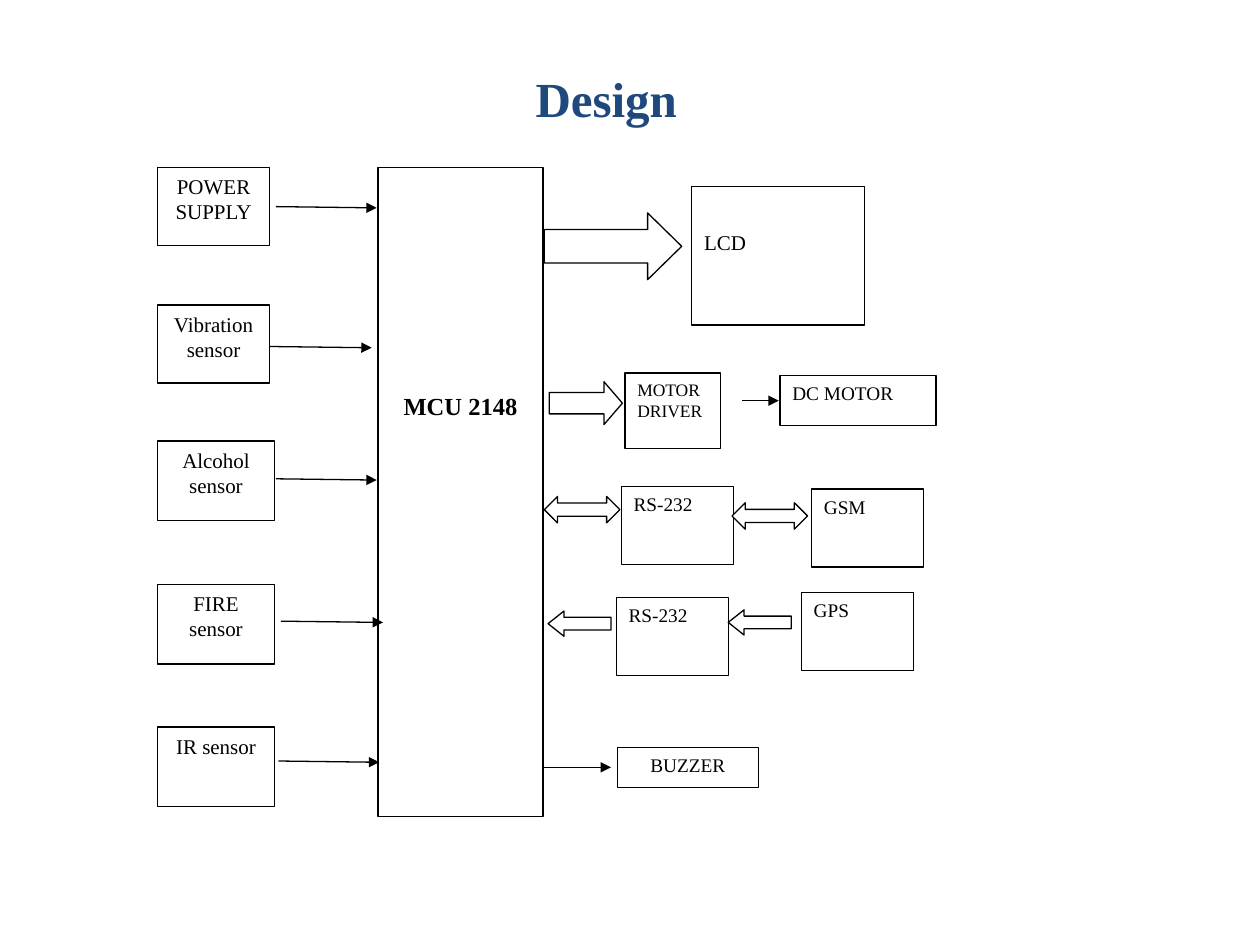
"""Build the block diagram slide of a microcontroller design."""
from dataclasses import dataclass

from lxml.etree import SubElement
from pptx import Presentation
from pptx.dml.color import RGBColor
from pptx.enum.shapes import MSO_CONNECTOR, MSO_SHAPE
from pptx.enum.text import MSO_ANCHOR, MSO_AUTO_SIZE, PP_ALIGN
from pptx.oxml.ns import qn
from pptx.slide import Slide
from pptx.util import Inches, Pt

COLUMNS, ROWS = 10, 7.5
SLIDE_WIDTH, SLIDE_HEIGHT = Inches(10), Inches(7.5)


@dataclass(frozen=True)
class Theme:
    font: str = "Times New Roman"
    ink: RGBColor = RGBColor(0, 0, 0)
    paper: RGBColor = RGBColor(255, 255, 255)
    heading: RGBColor = RGBColor(0x1F, 0x49, 0x7D)
    title: Pt = Pt(28)
    controller: Pt = Pt(14)
    label: Pt = Pt(12)
    module: Pt = Pt(11)
    small: Pt = Pt(10)
    outline: Pt = Pt(0.75)
    gap_after: Pt = Pt(8)


THEME = Theme()


@dataclass(frozen=True)
class Block:
    text: str
    column: float
    row: float
    width: float = 0.89
    height: float = 0.62
    size: Pt = THEME.module
    align: PP_ALIGN = PP_ALIGN.LEFT
    bold: bool = False
    inset: float = 0.05


@dataclass(frozen=True)
class Bus:
    kind: MSO_SHAPE
    column: float
    row: float
    width: float
    height: float
    head: float


@dataclass(frozen=True)
class Signal:
    start: float
    end: float
    row: float
    drop: float = 0.01


def across(columns: float) -> int:
    """Turn grid columns into a slide length."""
    return round(SLIDE_WIDTH * columns / COLUMNS)


def down(rows: float) -> int:
    """Turn grid rows into a slide length."""
    return round(SLIDE_HEIGHT * rows / ROWS)


def add_outlined(slide: Slide, kind: MSO_SHAPE, part: Block | Bus):
    """Place a white shape with a thin black outline."""
    shape = slide.shapes.add_shape(
        kind, across(part.column), down(part.row), across(part.width), down(part.height))
    shape.shadow.inherit = False
    shape.fill.solid()
    shape.fill.fore_color.rgb = THEME.paper
    shape.line.color.rgb = THEME.ink
    shape.line.width = THEME.outline
    return shape


def add_block(slide: Slide, block: Block) -> None:
    """Draw one labelled block."""
    frame = add_outlined(slide, MSO_SHAPE.RECTANGLE, block).text_frame
    frame.word_wrap = True
    frame.vertical_anchor = MSO_ANCHOR.TOP
    frame.margin_top = down(block.inset)
    label = frame.paragraphs[0]
    label.text = block.text
    label.alignment = block.align
    label.space_after = THEME.gap_after
    label.font.name = THEME.font
    label.font.size = block.size
    label.font.bold = block.bold
    label.font.color.rgb = THEME.ink


def add_bus(slide: Slide, bus: Bus) -> None:
    """Draw one block arrow."""
    arrow = add_outlined(slide, bus.kind, bus)
    arrow.adjustments[0] = 0.5
    arrow.adjustments[1] = bus.head


def add_signal(slide: Slide, signal: Signal) -> None:
    """Draw one thin line ending in a triangle."""
    wire = slide.shapes.add_connector(
        MSO_CONNECTOR.STRAIGHT, across(signal.start), down(signal.row),
        across(signal.end), down(signal.row + signal.drop))
    wire.line.color.rgb = THEME.ink
    wire.line.width = THEME.outline
    SubElement(wire.line._get_or_add_ln(), qn("a:tailEnd"), type="triangle")
    SubElement(wire._element.spPr, qn("a:effectLst"))


def add_title(slide: Slide, text: str) -> None:
    """Move and format the title placeholder."""
    title = slide.shapes.title
    title.left, title.top = across(4.15), down(0.49)
    title.width, title.height = across(1.34), down(0.57)
    frame = title.text_frame
    frame.word_wrap = False
    frame.auto_size = MSO_AUTO_SIZE.NONE
    frame.vertical_anchor = MSO_ANCHOR.TOP
    heading = frame.paragraphs[0]
    heading.text = text
    heading.alignment = PP_ALIGN.LEFT
    heading.font.name = THEME.font
    heading.font.size = THEME.title
    heading.font.bold = True
    heading.font.color.rgb = THEME.heading


INPUTS = [
    Block(text, 1.25, row, width, height, THEME.label, PP_ALIGN.CENTER)
    for text, row, width, height in (
        ("POWER SUPPLY", 1.33, 0.89, 0.62),
        ("Vibration sensor", 2.42, 0.89, 0.62),
        ("Alcohol sensor", 3.5, 0.93, 0.63),
        ("FIRE sensor", 4.64, 0.93, 0.63),
        ("IR sensor", 5.77, 0.93, 0.63),
    )
]
CONTROLLER = Block("MCU 2148", 3, 1.33, 1.31, 5.15, THEME.controller,
                   PP_ALIGN.CENTER, bold=True, inset=1.77)
OUTPUTS = [
    Block("LCD", 5.49, 1.48, 1.37, 1.1, THEME.label, inset=0.34),
    Block("MOTOR DRIVER", 4.96, 2.96, 0.76, 0.6, THEME.small),
    Block("DC MOTOR", 6.19, 2.98, 1.24, 0.4),
    Block("RS-232", 4.93, 3.86),
    Block("GSM", 6.44, 3.88),
    Block("GPS", 6.36, 4.7),
    Block("RS-232", 4.89, 4.74),
    Block("BUZZER", 4.9, 5.93, 1.12, 0.32, align=PP_ALIGN.CENTER),
]
SIGNALS = [
    Signal(2.19, 2.99, 1.64),
    Signal(2.14, 2.95, 2.75),
    Signal(2.19, 2.99, 3.8),
    Signal(2.23, 3.04, 4.93),
    Signal(2.21, 3.01, 6.04),
    Signal(5.89, 6.18, 3.18, drop=0),
    Signal(4.32, 4.85, 6.09, drop=0),
]
BUSES = [
    Bus(MSO_SHAPE.RIGHT_ARROW, 4.32, 1.69, 1.09, 0.53, 0.51),
    Bus(MSO_SHAPE.RIGHT_ARROW, 4.36, 3.03, 0.58, 0.34, 0.43),
    Bus(MSO_SHAPE.LEFT_RIGHT_ARROW, 5.81, 3.99, 0.6, 0.21, 0.5),
    Bus(MSO_SHAPE.LEFT_RIGHT_ARROW, 4.32, 3.94, 0.6, 0.21, 0.5),
    Bus(MSO_SHAPE.LEFT_ARROW, 4.35, 4.85, 0.5, 0.2, 0.63),
    Bus(MSO_SHAPE.LEFT_ARROW, 5.78, 4.84, 0.5, 0.2, 0.63),
]


def main() -> None:
    """Assemble and save the slide."""
    deck = Presentation()
    deck.slide_width, deck.slide_height = SLIDE_WIDTH, SLIDE_HEIGHT
    slide = deck.slides.add_slide(deck.slide_layouts.get_by_name("Title Only"))
    add_title(slide, "Design")
    for block in [*INPUTS, CONTROLLER, *OUTPUTS]:
        add_block(slide, block)
    for signal in SIGNALS:
        add_signal(slide, signal)
    for bus in BUSES:
        add_bus(slide, bus)
    deck.save("out.pptx")


if __name__ == "__main__":
    main()
